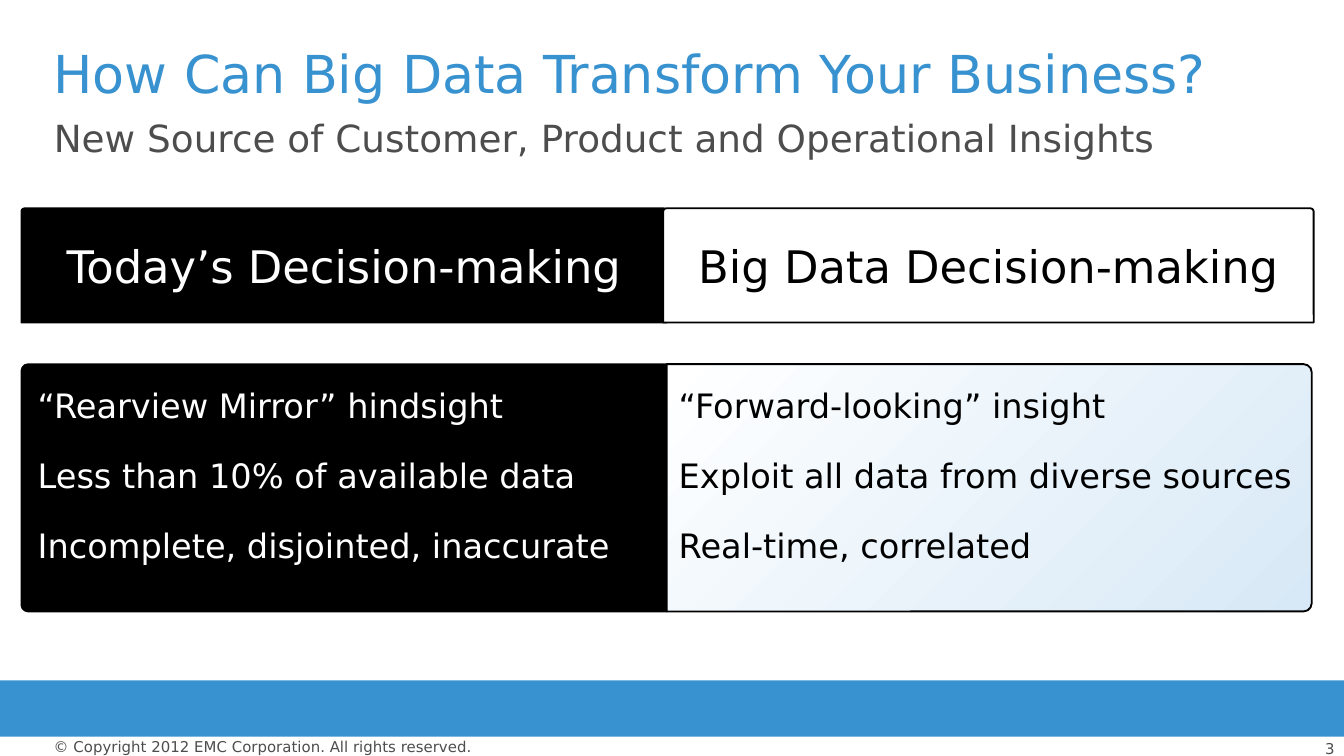
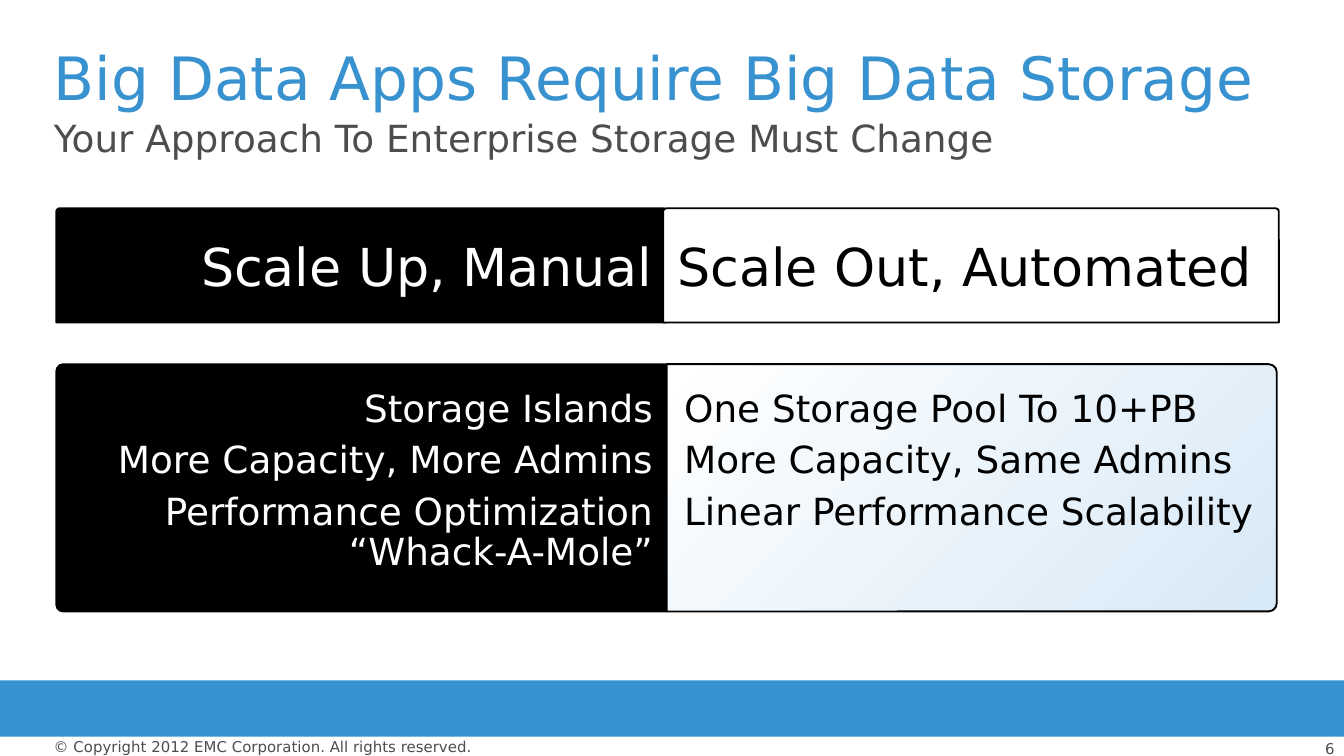
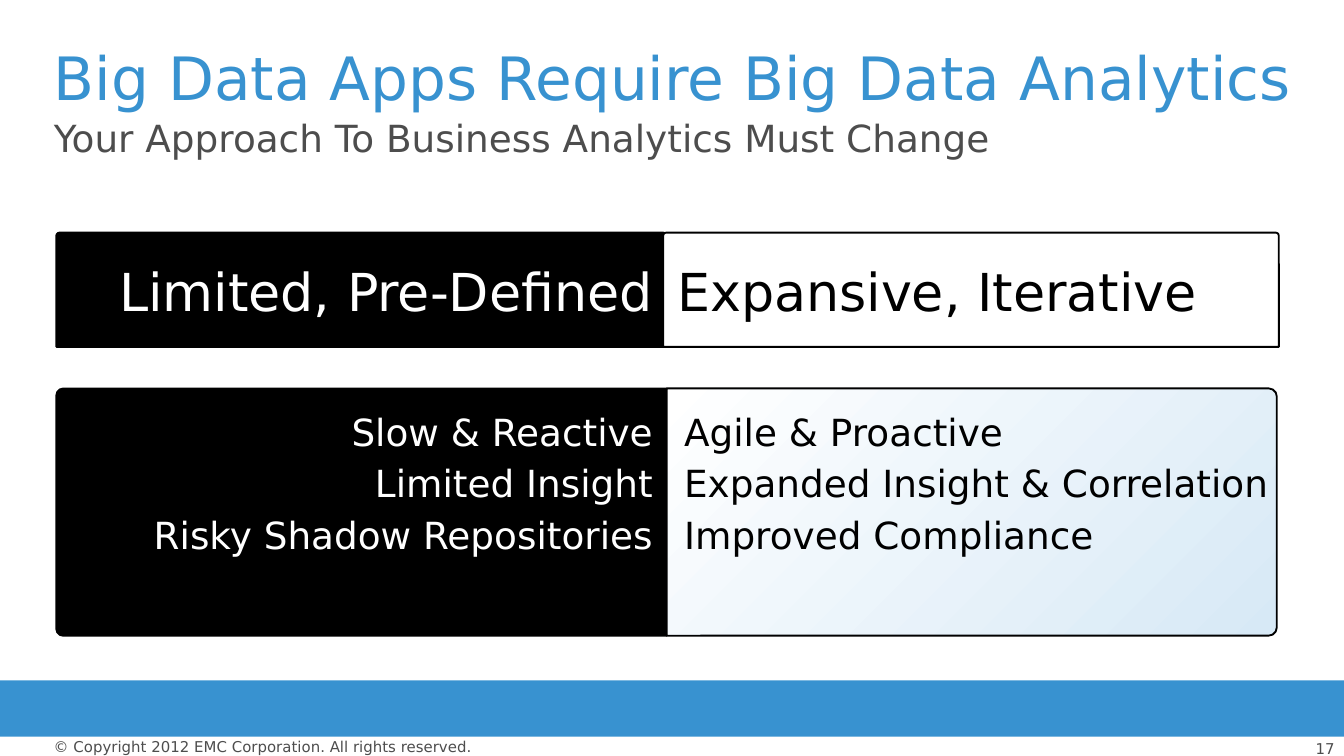
from pptx import Presentation
from pptx.dml.color import RGBColor
from pptx.enum.shapes import MSO_SHAPE as Shape
from pptx.enum.text import MSO_ANCHOR as Anchor, MSO_AUTO_SIZE as AutoSize, PP_ALIGN as Align
from pptx.oxml.ns import qn
from pptx.util import Pt
from lxml.etree import SubElement

# Content
COPYRIGHT = "© Copyright 2012 EMC Corporation. All rights reserved."
WIDE = dict(half=345.6, header_size=24, list_size=18, gap=18, header_align=(Align.CENTER, Align.CENTER),
            list_align=(Align.LEFT, Align.LEFT), list_spans=((20.2, 334), (363.6, 344.2)))
NARROW = dict(half=326.9, header_size=28, list_size=20, gap=6, header_align=(Align.RIGHT, Align.LEFT),
              list_align=(Align.RIGHT, Align.LEFT), list_spans=((33.8, 316.1), (366.5, 317.5)))
SLIDES = [
    dict(number=3, title="How Can Big Data Transform Your Business?", title_size=28, title_width=662.4,
         subtitle="New Source of Customer, Product and Operational Insights",
         top=111.6, style=WIDE,
         headers=("Today’s Decision-making", "Big Data Decision-making"),
         lists=(["“Rearview Mirror” hindsight", "Less than 10% of available data",
                 "Incomplete, disjointed, inaccurate"],
                ["“Forward-looking” insight", "Exploit all data from diverse sources",
                 "Real-time, correlated"])),
    dict(number=6, title="Big Data Apps Require Big Data Storage", title_size=32, title_width=662.4,
         subtitle="Your Approach To Enterprise Storage Must Change",
         top=111.6, style=NARROW,
         headers=("Scale Up, Manual", "Scale Out, Automated"),
         lists=(["Storage Islands", "More Capacity, More Admins",
                 "Performance Optimization\n“Whack-A-Mole”"],
                ["One Storage Pool To 10+PB", "More Capacity, Same Admins",
                 "Linear Performance Scalability"])),
    dict(number=17, title="Big Data Apps Require Big Data Analytics", title_size=32, title_width=691.2,
         subtitle="Your Approach To Business Analytics Must Change",
         top=124.6, style=NARROW,
         headers=("Limited, Pre-Defined", "Expansive, Iterative"),
         lists=(["Slow & Reactive", "Limited Insight", "Risky Shadow Repositories"],
                ["Agile & Proactive", "Expanded Insight & Correlation", "Improved Compliance"])),
]

# Shared look
FONT = "DejaVu Sans"
BLUE, GREY, BLACK, WHITE, PALE = "3892D0", "4D4D4D", "000000", "FFFFFF", "D7E9F6"
TEXT_COLORS = (WHITE, BLACK)
MIDDLE = 357.1
HEADER_HEIGHT = 61.2
PANEL_DROP, PANEL_HEIGHT = 83.5, 132.5
LIST_DROP, LIST_HEIGHTS = 97.2, (98, 120)


def color(value):
    return RGBColor.from_string(value)


def place(box, left, top, width, height):
    box.left, box.top, box.width, box.height = Pt(left), Pt(top), Pt(width), Pt(height)


def write(box, lines, size, ink, align=Align.LEFT, anchor=Anchor.TOP, spacing=1.0, gap=0, inset=0, wrap=True):
    """Fill a box with one paragraph per line."""
    frame = box.text_frame
    frame.auto_size, frame.word_wrap, frame.vertical_anchor = AutoSize.NONE, wrap, anchor
    frame.margin_left = frame.margin_right = Pt(inset)
    frame.margin_top = frame.margin_bottom = Pt(inset / 2)
    for index, line in enumerate(lines):
        para = frame.add_paragraph() if index else frame.paragraphs[0]
        para.text = line
        para.alignment, para.line_spacing = align, spacing
        para.space_before = Pt(gap if index else 0)
        for span in para.runs:
            span.font.name, span.font.size = FONT, Pt(size)
            span.font.color.rgb = color(ink)


def add_text(shapes, at, lines, **style):
    box = shapes.add_textbox(*map(Pt, at))
    write(box, lines, **style)


def add_block(shapes, kind, at, fill, line=None, corner=None, rotation=0):
    block = shapes.add_shape(kind, *map(Pt, at))
    block.shadow.inherit = False
    block.rotation = rotation
    if isinstance(fill, tuple):
        block.fill.gradient()
        block.fill.gradient_angle = 225
        for stop, shade in zip(block.fill.gradient_stops, fill):
            stop.color.rgb = color(shade)
    else:
        block.fill.solid()
        block.fill.fore_color.rgb = color(fill)
    if line:
        block.line.color.rgb = color(line)
        block.line.width = Pt(1)
    else:
        block.line.fill.background()
    if corner:
        block.adjustments[0], block.adjustments[1] = corner, 0
    return block


def add_frame(page, content):
    """Title, subtitle, band and footer."""
    add_block(page.shapes, Shape.RECTANGLE, (0, 364.5, 720, 30.2), BLUE)
    add_text(page.shapes, (673.2, 396, 41.8, 9.4), [str(content["number"])],
             size=8, ink=GREY, align=Align.RIGHT)
    add_text(page.shapes, (28.8, 395.3, 228.2, 9.4), [COPYRIGHT], size=8, ink=GREY, wrap=False)

    subtitle = page.placeholders[1]
    place(subtitle, 28.8, 61.9, 662.4, 27.4)
    properties = subtitle.text_frame.paragraphs[0]._p.get_or_add_pPr()
    properties.set("marL", "0")
    properties.set("indent", "0")
    SubElement(properties, qn("a:buNone"))
    write(subtitle, [content["subtitle"]], size=20, ink=GREY)

    title = page.shapes.title
    place(title, 28.8, 25.9, content["title_width"], 36)
    write(title, [content["title"]], size=content["title_size"], ink=BLUE, spacing=0.9)


def add_comparison(page, content):
    """Two panels with lists, under two headers."""
    style, top = content["style"], content["top"]
    half = style["half"]

    # Panels stand upright and are turned so that their round corners face out
    panels = page.shapes.add_group_shape().shapes
    panel_top = top + PANEL_DROP + (PANEL_HEIGHT - half) / 2
    for side, (fill, corner, rotation) in enumerate([(BLACK, 0.028, 270), ((PALE, WHITE), 0.033, 90)]):
        panel_left = MIDDLE + (side - 0.5) * half - PANEL_HEIGHT / 2
        add_block(panels, Shape.ROUND_2_SAME_RECTANGLE, (panel_left, panel_top, PANEL_HEIGHT, half),
                  fill, BLACK, corner, rotation)
    for side, (left, width) in enumerate(style["list_spans"]):
        add_text(panels, (left, top + LIST_DROP, width, LIST_HEIGHTS[side]), content["lists"][side],
                 size=style["list_size"], ink=TEXT_COLORS[side], align=style["list_align"][side],
                 spacing=0.9, gap=style["gap"])

    # Headers
    headers = page.shapes.add_group_shape().shapes
    spans = ((MIDDLE - half, half), (MIDDLE - 1.8, half + 2.9))
    for side, (left, width) in enumerate(spans):
        header = add_block(headers, Shape.ROUND_2_SAME_RECTANGLE, (left, top, width, HEADER_HEIGHT),
                           (BLACK, WHITE)[side], BLACK, 0.028)
        write(header, [content["headers"][side]], size=style["header_size"], ink=TEXT_COLORS[side],
              align=style["header_align"][side], anchor=Anchor.MIDDLE, inset=7.2)


def main():
    deck = Presentation()
    deck.slide_width, deck.slide_height = Pt(720), Pt(405)
    for content in SLIDES:
        page = deck.slides.add_slide(deck.slide_layouts[1])
        add_frame(page, content)
        add_comparison(page, content)
    deck.save("out.pptx")


if __name__ == "__main__":
    main()
